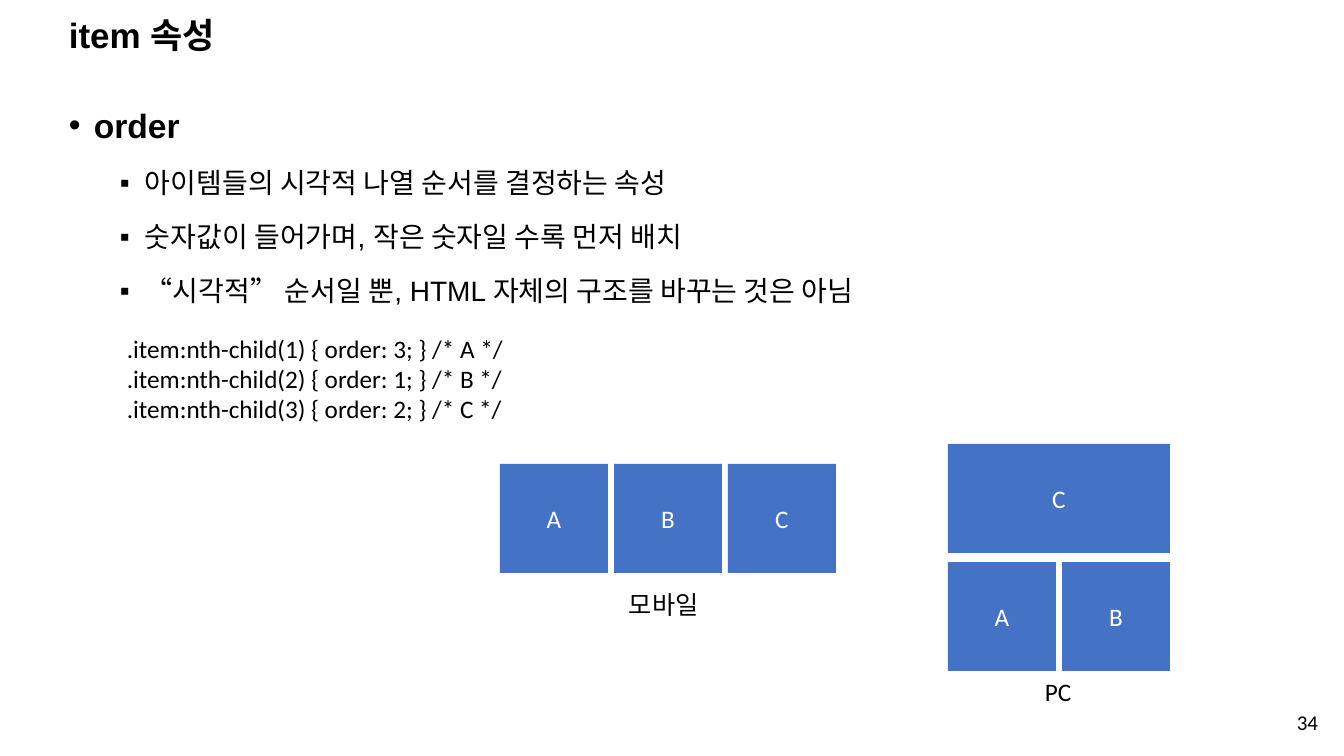
from dataclasses import dataclass

from lxml import etree
from pptx import Presentation
from pptx import util as u
from pptx.dml.color import RGBColor
from pptx.enum import shapes, text
from pptx.oxml import ns

SCALE = 914400 / 100.8


@dataclass(frozen=True)
class Theme:
    ink: str = "000000"
    paper: str = "FFFFFF"
    tile: str = "4472C4"
    head: str = "Arial"
    body: str = "Calibri"
    title: int = 25
    topic: int = 24
    point: int = 20
    label: int = 18
    page: int = 15


T = Theme()


def px(n):
    return u.Emu(round(n * SCALE))


def style(para, size, face, color=T.ink, bold=False):
    for run in para.runs:
        font = run.font
        font.size = u.Pt(size)
        font.name = face
        font.bold = bold
        font.color.rgb = RGBColor.from_string(color)


def add_text(slide, box, words, size, face=T.body, bold=False, wrap=True,
             anchor=text.MSO_ANCHOR.TOP, align=text.PP_ALIGN.LEFT):
    frame = slide.shapes.add_textbox(*map(px, box)).text_frame
    frame.word_wrap = wrap
    frame.vertical_anchor = anchor
    frame.text = words
    for para in frame.paragraphs:
        para.alignment = align
        style(para, size, face, bold=bold)
    return frame


def add_bullet(para, mark, left, hang):
    props = para._p.get_or_add_pPr()
    props.set("marL", str(px(left)))
    props.set("indent", str(-px(hang)))
    font = etree.SubElement(props, ns.qn("a:buFont"))
    font.set("typeface", T.head)
    etree.SubElement(props, ns.qn("a:buChar")).set("char", mark)


def add_list(slide, box, topic, points):
    frame = add_text(slide, box, "\n".join([topic, *points]), T.point, T.head)
    for i, para in enumerate(frame.paragraphs):
        add_bullet(para, "▪" if i else "•", 76 if i else 25, 25)
        para.line_spacing = 1.4
        para.space_before = u.Pt(5 if i else 0)
    style(frame.paragraphs[0], T.topic, T.head, bold=True)


def add_tile(slide, left, top, width, height, name):
    tile = slide.shapes.add_shape(
        shapes.MSO_SHAPE.RECTANGLE, *map(px, (left, top, width, height)))
    tile.shadow.inherit = False
    tile.fill.solid()
    tile.fill.fore_color.rgb = RGBColor.from_string(T.tile)
    tile.line.fill.background()
    frame = tile.text_frame
    frame.text = name
    frame.vertical_anchor = text.MSO_ANCHOR.MIDDLE
    para = frame.paragraphs[0]
    para.alignment = text.PP_ALIGN.CENTER
    style(para, T.label, T.body, T.paper)


def add_row(slide, left, top, names, side=108, tall=109, step=114):
    for i, name in enumerate(names):
        add_tile(slide, left + i * step, top, side, tall, name)


def main():
    deck = Presentation()
    deck.slide_width, deck.slide_height = px(1344), px(756)
    slide = deck.slides.add_slide(deck.slide_layouts[6])
    middle = text.MSO_ANCHOR.MIDDLE

    title = add_text(slide, (59, 18, 1159, 38), "item 속성", T.title, T.head,
                     bold=True, anchor=middle)
    title.paragraphs[0].line_spacing = 0.9
    add_list(slide, (59, 84, 1203, 633), "order", [
        "아이템들의 시각적 나열 순서를 결정하는 속성",
        "숫자값이 들어가며, 작은 숫자일 수록 먼저 배치",
        "“시각적” 순서일 뿐, HTML 자체의 구조를 바꾸는 것은 아님",
    ])
    add_text(slide, (950, 701, 378, 42), "34", T.page, anchor=middle,
             align=text.PP_ALIGN.RIGHT)

    rules = [f".item:nth-child({i}) {{ order: {order}; }} /* {name} */"
             for i, (order, name) in enumerate(zip((3, 1, 2), "ABC"), 1)]
    add_text(slide, (117, 328, 499, 102), "\n".join(rules), T.label)

    add_row(slide, 500, 464, "ABC")
    add_row(slide, 948, 562, "AB")
    add_tile(slide, 948, 444, 222, 109, "C")
    add_text(slide, (619, 584, 97, 40), "모바일", T.label, wrap=False)
    add_text(slide, (1035, 671, 47, 40), "PC", T.label, wrap=False)

    deck.save("out.pptx")


if __name__ == "__main__":
    main()
